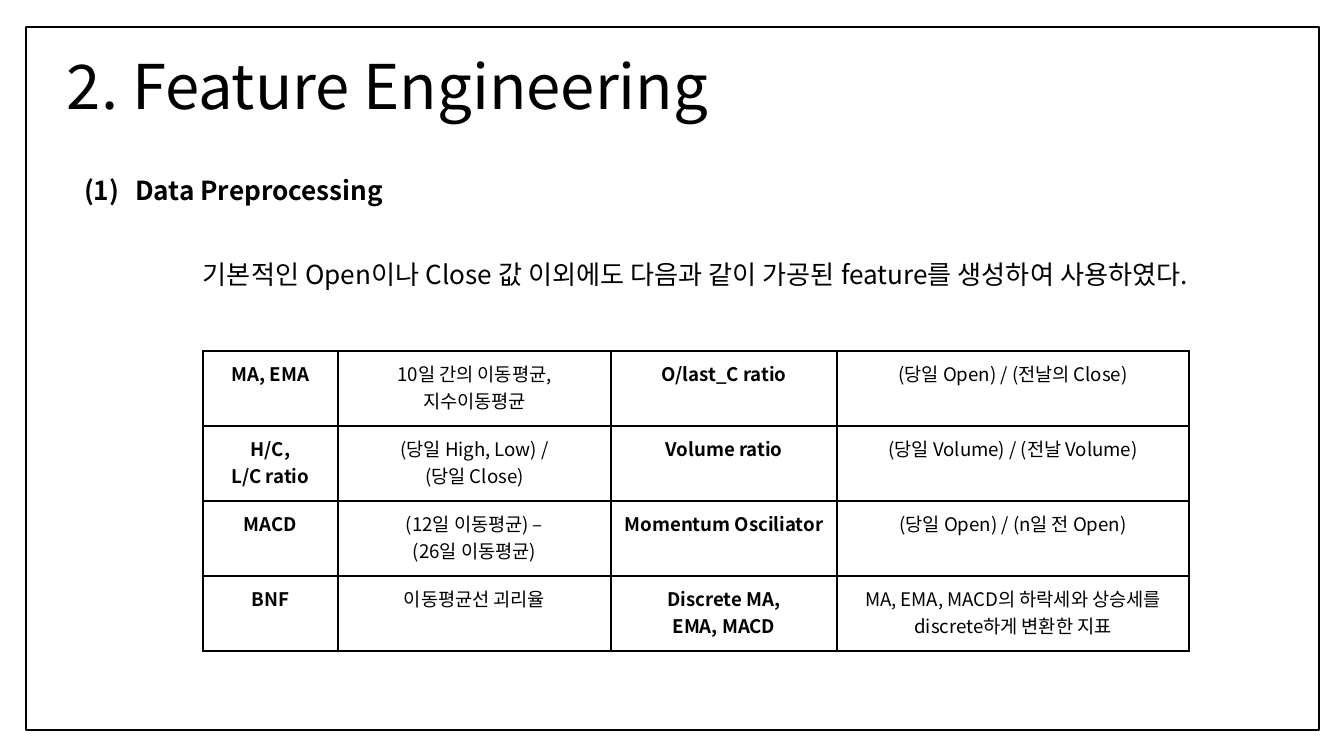
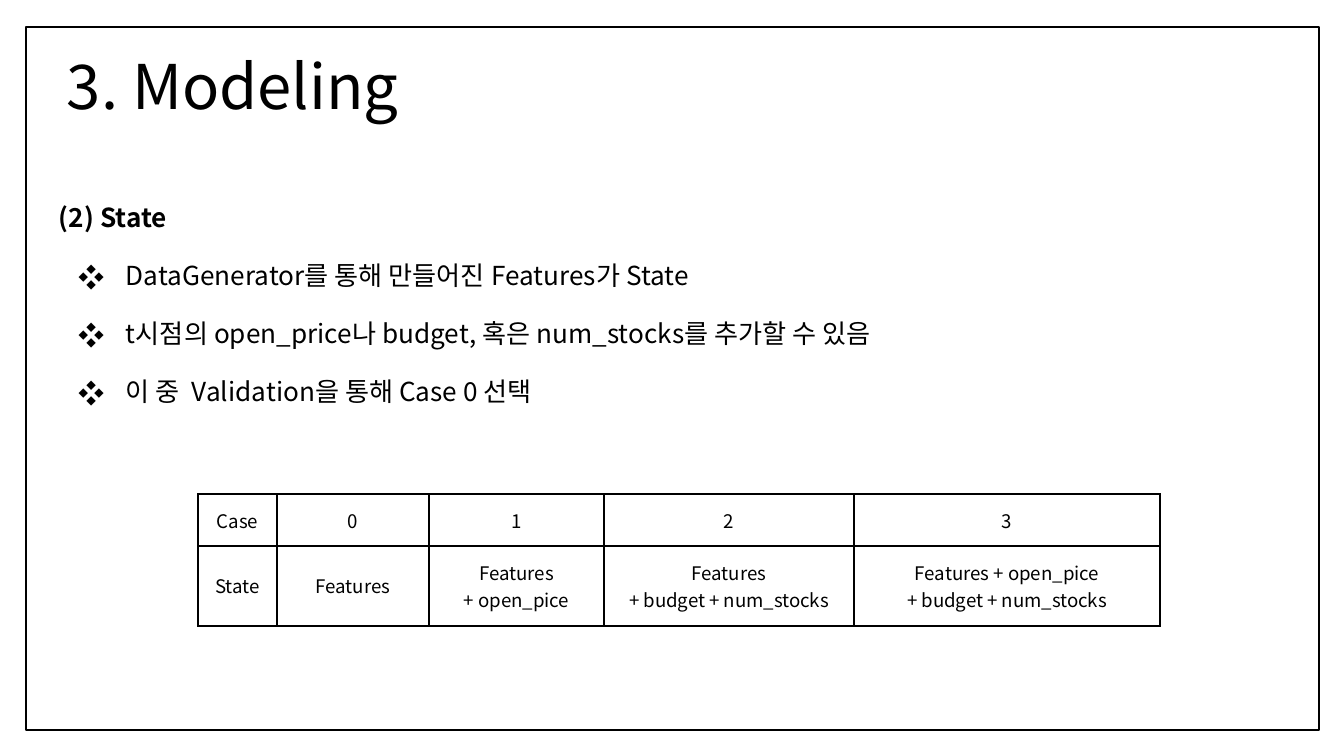
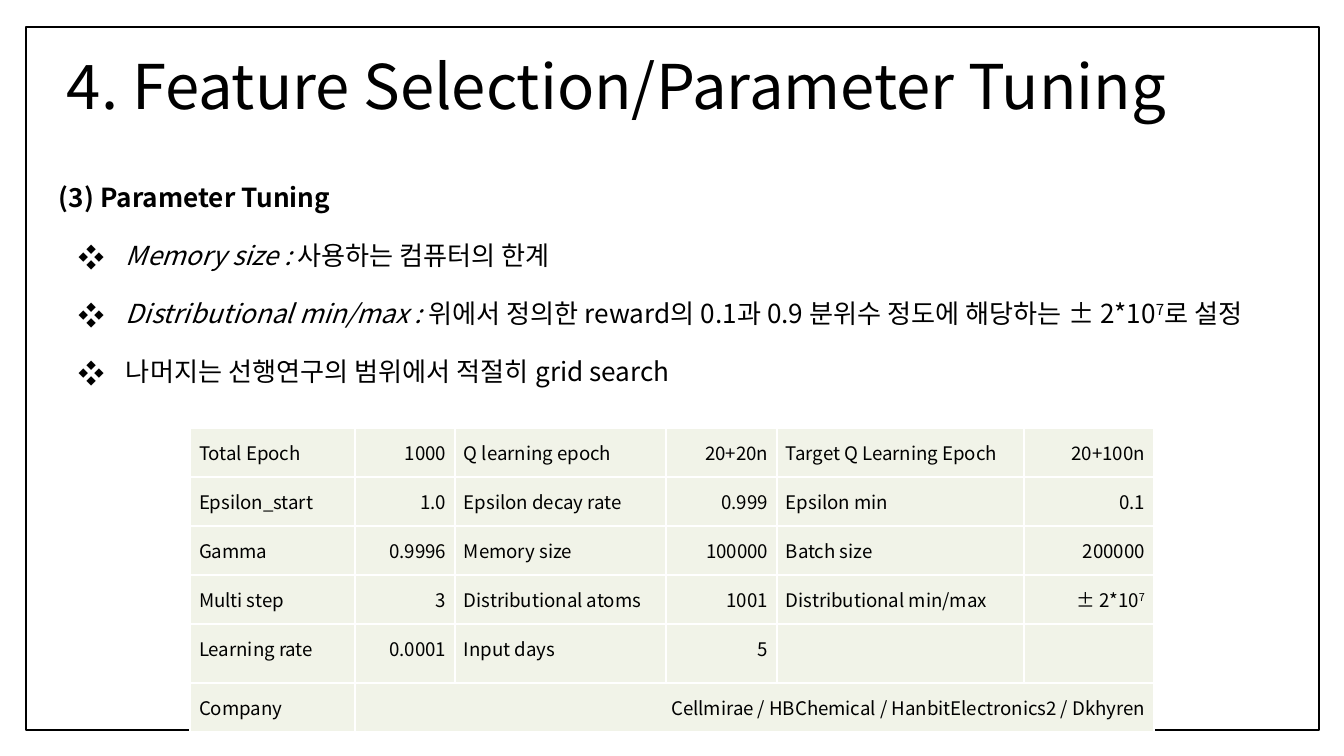
from pptx import Presentation
from pptx.dml.color import RGBColor
from pptx.enum.shapes import MSO_SHAPE
from pptx.enum.text import MSO_ANCHOR as ANCHOR, MSO_AUTO_SIZE as AUTO, PP_ALIGN as ALIGN
from pptx.oxml.ns import qn
from pptx.util import Pt
from lxml.etree import SubElement

SCALE = 914400 / 134.4
FONT = "Noto Sans CJK KR"
BLACK = RGBColor(0, 0, 0)
WHITE = RGBColor(255, 255, 255)
CREAM = RGBColor(0xF1, 0xF3, 0xE8)
FRAME = (26, 27, 1293, 703)
TITLE = (46, 47, 1253, 85)


def px(n):
    return round(n * SCALE)


def place(sp, box):
    sp.left, sp.top, sp.width, sp.height = map(px, box)


def write(p, text, size=14, bold=False, italic=False, sup=False):
    r = p.add_run()
    r.text = text
    f = r.font
    f.name, f.size, f.bold, f.italic = FONT, Pt(size), bold, italic
    f.color.rgb = BLACK
    rPr = r.font._element
    SubElement(rPr, qn("a:ea")).set("typeface", FONT)
    if sup:
        rPr.set("baseline", "30000")


def write_runs(p, runs, **fmt):
    for text, extra in [(runs, {})] if isinstance(runs, str) else runs:
        write(p, text, **{**fmt, **extra})


def format_par(p, align=ALIGN.LEFT, spacing=0.9, before=0, left=0, hang=0, char=None, num=None):
    p.alignment, p.line_spacing, p.space_before = align, spacing, Pt(before)
    pPr = p._p.get_or_add_pPr()
    pPr.set("marL", str(px(left)))
    pPr.set("indent", str(px(-hang)))
    if char or num:
        color = SubElement(pPr, qn("a:buClr"))
        SubElement(color, qn("a:srgbClr")).set("val", str(BLACK))
    if char:
        SubElement(pPr, qn("a:buFont")).set("typeface", FONT)
        SubElement(pPr, qn("a:buChar")).set("char", char)
    elif num:
        SubElement(pPr, qn("a:buFont")).set("typeface", FONT)
        SubElement(pPr, qn("a:buAutoNum")).set("type", num)
    else:
        SubElement(pPr, qn("a:buNone"))


def text_frame(sp, box, anchor=ANCHOR.TOP):
    place(sp, box)
    tf = sp.text_frame
    tf.word_wrap, tf.auto_size, tf.vertical_anchor = True, AUTO.NONE, anchor
    tf.margin_left = tf.margin_right = tf.margin_top = tf.margin_bottom = px(13)
    return tf


def add_frame(prs):
    master = prs.slide_master
    slide = prs.slides[0]
    sp = slide.shapes.add_shape(MSO_SHAPE.RECTANGLE, *map(px, FRAME))
    sp.shadow.inherit = False
    sp.fill.solid()
    sp.fill.fore_color.rgb = WHITE
    sp.line.color.rgb = BLACK
    sp.line.width = Pt(1)
    master.shapes.element.insert(2, sp.element)


def add_slide(prs, layout, title):
    slide = prs.slides.add_slide(prs.slide_layouts[layout])
    p = text_frame(slide.shapes.title, TITLE, ANCHOR.MIDDLE).paragraphs[0]
    format_par(p, left=8)
    write(p, title, size=33)
    return slide


def add_body(slide, box, heading, items):
    tf = text_frame(slide.placeholders[1], box)
    p = tf.paragraphs[0]
    format_par(p)
    write(p, heading, bold=True)
    for item in items:
        p = tf.add_paragraph()
        format_par(p, before=16, left=67, hang=47, char="❖")
        write_runs(p, item)


def add_intro(slide, box, heading, sentence):
    tf = text_frame(slide.shapes.add_textbox(0, 0, 0, 0), box)
    p = tf.paragraphs[0]
    format_par(p, left=51, hang=51, num="arabicParenBoth")
    write(p, heading, bold=True)
    p = tf.add_paragraph()
    format_par(p, ALIGN.CENTER, before=30)
    write(p, sentence)


def border(cell, color):
    tcPr = cell._tc.get_or_add_tcPr()
    for i, side in enumerate(("lnL", "lnR", "lnT", "lnB")):
        ln = tcPr.makeelement(qn("a:" + side), {"w": str(Pt(1))})
        fill = SubElement(ln, qn("a:solidFill"))
        SubElement(fill, qn("a:srgbClr")).set("val", str(color))
        tcPr.insert(i, ln)


def add_grid(slide, at, cols, heights, rows, aligns, line=BLACK, fill=None,
             anchor=ANCHOR.TOP, spacing=1.0, bold_cols=()):
    box = (*at, sum(cols), sum(heights))
    tbl = slide.shapes.add_table(len(rows), len(cols), *map(px, box)).table
    tbl.first_row = tbl.horz_banding = False
    for col, w in zip(tbl.columns, cols):
        col.width = px(w)
    for row, h in zip(tbl.rows, heights):
        row.height = px(h)
    for i, row in enumerate(rows):
        for j in range(len(cols)):
            cell = tbl.cell(i, j)
            border(cell, line)
            if fill:
                cell.fill.solid()
                cell.fill.fore_color.rgb = fill
            else:
                cell.fill.background()
            cell.vertical_anchor = anchor
            cell.margin_left = cell.margin_right = cell.margin_top = cell.margin_bottom = px(9)
            text = row[j] if j < len(row) else ""
            if not text:
                continue
            tf = cell.text_frame
            for n, part in enumerate(text.split("\n") if isinstance(text, str) else [text]):
                p = tf.add_paragraph() if n else tf.paragraphs[0]
                p.alignment, p.line_spacing = aligns[j], spacing
                write_runs(p, part, size=10, bold=j in bold_cols)
    return tbl


def feature_slide(prs):
    slide = add_slide(prs, 5, "2. Feature Engineering")
    add_intro(slide, (71, 165, 1249, 187), "Data Preprocessing",
              "기본적인 Open이나 Close 값 이외에도 다음과 같이 가공된 feature를 생성하여 사용하였다.")
    rows = [
        ["MA, EMA", "10일 간의 이동평균,\n지수이동평균", "O/last_C ratio", "(당일 Open) / (전날의 Close)"],
        ["H/C,\nL/C ratio", "(당일 High, Low) /\n(당일 Close)", "Volume ratio",
         "(당일 Volume) / (전날 Volume)"],
        ["MACD", "(12일 이동평균) –\n(26일 이동평균)", "Momentum Osciliator", "(당일 Open) / (n일 전 Open)"],
        ["BNF", "이동평균선 괴리율", "Discrete MA,\nEMA, MACD",
         "MA, EMA, MACD의 하락세와 상승세를 discrete하게 변환한 지표"],
    ]
    add_grid(slide, (203, 351), [135, 273, 226, 352], [75] * 4, rows,
             [ALIGN.CENTER] * 4, bold_cols=(0, 2))


def state_slide(prs):
    slide = add_slide(prs, 1, "3. Modeling")
    add_body(slide, (46, 192, 1253, 240), "(2) State", [
        "DataGenerator를 통해 만들어진 Features가 State",
        "t시점의 open_price나 budget, 혹은 num_stocks를 추가할 수 있음",
        "이 중  Validation을 통해 Case 0 선택",
    ])
    rows = [
        ["Case", "0", "1", "2", "3"],
        ["State", "Features", "Features\n+ open_pice", "Features\n+ budget + num_stocks",
         "Features + open_pice\n+ budget + num_stocks"],
    ]
    add_grid(slide, (198, 494), [79, 152, 175, 250, 306], [52, 80], rows,
             [ALIGN.CENTER] * 5, anchor=ANCHOR.MIDDLE)


def tuning_slide(prs):
    slide = add_slide(prs, 1, "4. Feature Selection/Parameter Tuning")
    italic, sup = {"italic": True}, {"sup": True}
    add_body(slide, (46, 172, 1253, 240), "(3) Parameter Tuning", [
        [("Memory size : ", italic), ("사용하는 컴퓨터의 한계", {})],
        [("Distributional min/max : ", italic),
         ("위에서 정의한 reward의 0.1과 0.9 분위수 정도에 해당하는 ± 2*10", {}), ("7", sup), ("로 설정", {})],
        "나머지는 선행연구의 범위에서 적절히 grid search",
    ])
    rows = [
        ["Total Epoch", "1000", "Q learning epoch", "20+20n", "Target Q Learning Epoch", "20+100n"],
        ["Epsilon_start", "1.0", "Epsilon decay rate", "0.999", "Epsilon min", "0.1"],
        ["Gamma", "0.9996", "Memory size", "100000", "Batch size", "200000"],
        ["Multi step", "3", "Distributional atoms", "1001", "Distributional min/max",
         [("± 2*10", {}), ("7", sup)]],
        ["Learning rate", "0.0001", "Input days", "5"],
        ["Company", "Cellmirae / HBChemical / HanbitElectronics2 / Dkhyren"],
    ]
    tbl = add_grid(slide, (190, 428), [165, 100, 211, 111, 247, 130], [49] * 6, rows,
                   [ALIGN.LEFT, ALIGN.RIGHT] * 3, line=WHITE, fill=CREAM, spacing=1.07)
    tbl.cell(5, 1).merge(tbl.cell(5, 5))


prs = Presentation()
prs.slide_width, prs.slide_height = px(1344), px(756)
feature_slide(prs)
state_slide(prs)
tuning_slide(prs)
add_frame(prs)
prs.save("out.pptx")
